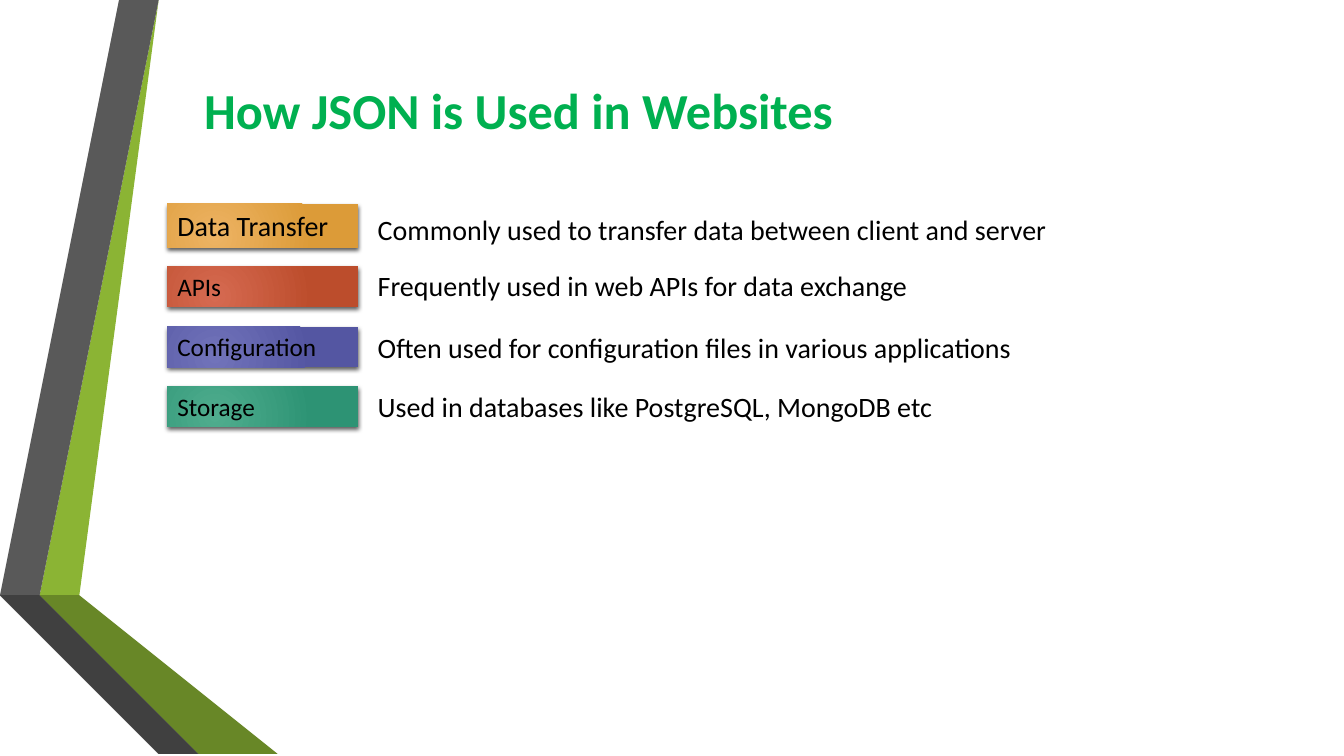
from pptx import Presentation
from pptx import util as u
from pptx.dml.color import RGBColor
from pptx.enum import shapes, text
from pptx.oxml import parse_xml
from pptx.oxml.ns import nsdecls, qn

BLACK = RGBColor(0x00, 0x00, 0x00)
TITLE_GREEN = RGBColor(0x00, 0xB0, 0x50)
LIME = RGBColor(0x8B, 0xB4, 0x34)
OLIVE = RGBColor(0x68, 0x87, 0x27)
DARK_OLIVE = RGBColor(0x46, 0x5A, 0x1A)
GREY = RGBColor(0x59, 0x59, 0x59)
CHARCOAL = RGBColor(0x40, 0x40, 0x40)
DARK_CHARCOAL = RGBColor(0x26, 0x26, 0x26)
ORANGE = (RGBColor(0xED, 0xB3, 0x63), RGBColor(0xDC, 0x9B, 0x38))
RED = (RGBColor(0xD6, 0x6A, 0x51), RGBColor(0xBC, 0x4D, 0x2C))
VIOLET = (RGBColor(0x71, 0x73, 0xBA), RGBColor(0x54, 0x56, 0xA2))
TEAL = (RGBColor(0x4F, 0xAD, 0x8E), RGBColor(0x2D, 0x93, 0x74))

WIDTH, BOTTOM = 33.87, 19.05
LABEL_LEFT, LABEL_WIDTH = 4.22, 4.8
USE_LEFT, USE_HEIGHT = 9.27, 1.3

# Ribbon outlines in centimetres
RIBBONS = [
    (LIME, [(1.27, 14.68), (1.96, 14.81), (4.39, 0), (3.68, 0)]),
    (GREY, [(3.53, 0), (2.82, 0), (0.41, 14.55), (1.12, 14.66)]),
    (DARK_CHARCOAL, [(0.41, 14.55), (3.68, BOTTOM), (3.84, BOTTOM)]),
    (DARK_OLIVE, [(1.27, 14.7), (5.28, BOTTOM), (5.44, BOTTOM)]),
    (OLIVE, [(1.27, 14.68), (5.44, BOTTOM), (7.19, BOTTOM), (1.96, 14.81)]),
    (CHARCOAL, [(0.41, 14.55), (3.84, BOTTOM), (5.13, BOTTOM), (1.12, 14.66)]),
]

# Label, size, colours, top, height; then use, top, width
USES = [
    ("Data Transfer", 20, ORANGE, 5.13, 1.12,
     "Commonly used to transfer data between client and server", 5.13, 17.68),
    ("APIs", 18, RED, 6.71, 1.02,
     "Frequently used in web APIs for data exchange", 6.55, 14.27),
    ("Configuration", 18, VIOLET, 8.23, 1.02,
     "Often used for configuration files in various applications", 8.1, 16.89),
    ("Storage", 18, TEAL, 9.73, 1.02,
     "Used in databases like PostgreSQL, MongoDB etc", 9.6, 15.14),
]


class SlideBuilder:
    font = "Calibri"

    def __init__(self, slide):
        self.s = slide

    def add_text(self, sp, words, size, color=BLACK, bold=False,
                 align=text.PP_ALIGN.LEFT, anchor=text.MSO_ANCHOR.MIDDLE):
        tf = sp.text_frame
        tf.word_wrap = True
        tf.vertical_anchor = anchor
        p = tf.paragraphs[0]
        p.alignment = align
        r = p.add_run()
        r.text = words
        r.font.name = self.font
        r.font.size = u.Pt(size)
        r.font.bold = bold
        r.font.color.rgb = color

    def ribbon(self, color, points):
        builder = self.s.shapes.build_freeform(*points[0], scale=u.Cm(1))
        builder.add_line_segments(points[1:], close=True)
        sp = builder.convert_to_shape()
        sp.fill.solid()
        sp.fill.fore_color.rgb = color
        sp.line.fill.background()
        sp.shadow.inherit = False

    def textbox(self, left, top, width, height, words, size, **style):
        sp = self.s.shapes.add_textbox(
            u.Cm(left), u.Cm(top), u.Cm(width), u.Cm(height))
        self.add_text(sp, words, size, **style)

    def label(self, top, height, words, size, colors):
        sp = self.s.shapes.add_shape(
            shapes.MSO_SHAPE.RECTANGLE, u.Cm(LABEL_LEFT), u.Cm(top),
            u.Cm(LABEL_WIDTH), u.Cm(height))
        sp.line.fill.background()
        sp.fill.gradient()
        for stop, color in zip(sp.fill.gradient_stops, colors):
            stop.color.rgb = color
        # Radial gradient and soft shadow
        sp.shadow.inherit = False
        props = sp._element.spPr
        linear = props.find(qn("a:gradFill")).find(qn("a:lin"))
        linear.getparent().replace(linear, parse_xml(
            f'<a:path {nsdecls("a")} path="circle"><a:fillToRect l="50000" '
            't="100000" r="100000" b="50000"/></a:path>'))
        props.find(qn("a:effectLst")).append(parse_xml(
            f'<a:outerShdw {nsdecls("a")} blurRad="38100" dist="25400" '
            'dir="5400000" rotWithShape="0"><a:srgbClr val="000000">'
            '<a:alpha val="64000"/></a:srgbClr></a:outerShdw>'))
        self.add_text(sp, words, size, anchor=text.MSO_ANCHOR.TOP)
        sp.text_frame.auto_size = text.MSO_AUTO_SIZE.SHAPE_TO_FIT_TEXT


def main():
    prs = Presentation()
    prs.slide_width, prs.slide_height = u.Cm(WIDTH), u.Cm(BOTTOM)
    page = SlideBuilder(prs.slides.add_slide(prs.slide_layouts[6]))

    # Folded ribbons
    for color, points in RIBBONS:
        page.ribbon(color, points)

    # Title
    page.textbox(4.5, 1.96, 17.15, 1.6, "How JSON is Used in Websites", 36,
                 color=TITLE_GREEN, bold=True, align=text.PP_ALIGN.CENTER)

    # Labels with their uses
    for name, size, colors, top, height, use, use_top, use_width in USES:
        page.label(top, height, name, size, colors)
        page.textbox(USE_LEFT, use_top, use_width, USE_HEIGHT, use, 20)

    prs.save("out.pptx")


if __name__ == "__main__":
    main()
